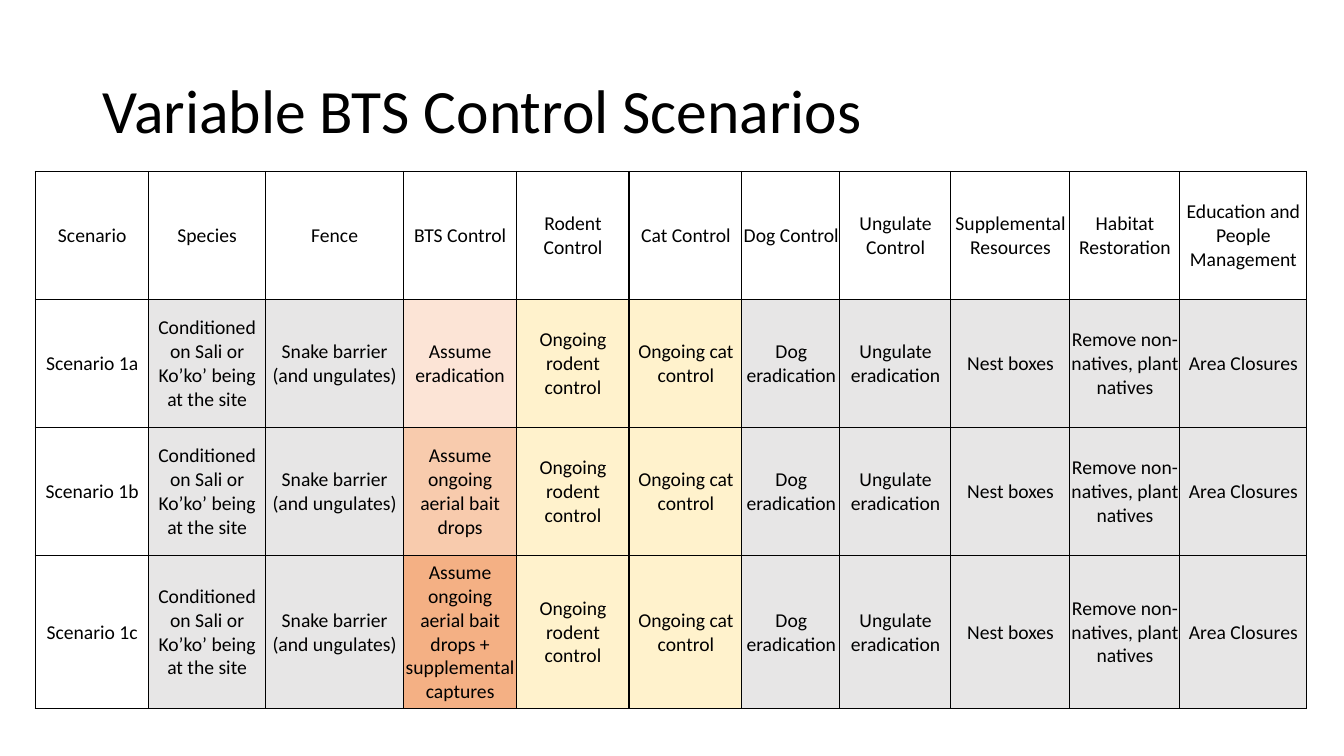
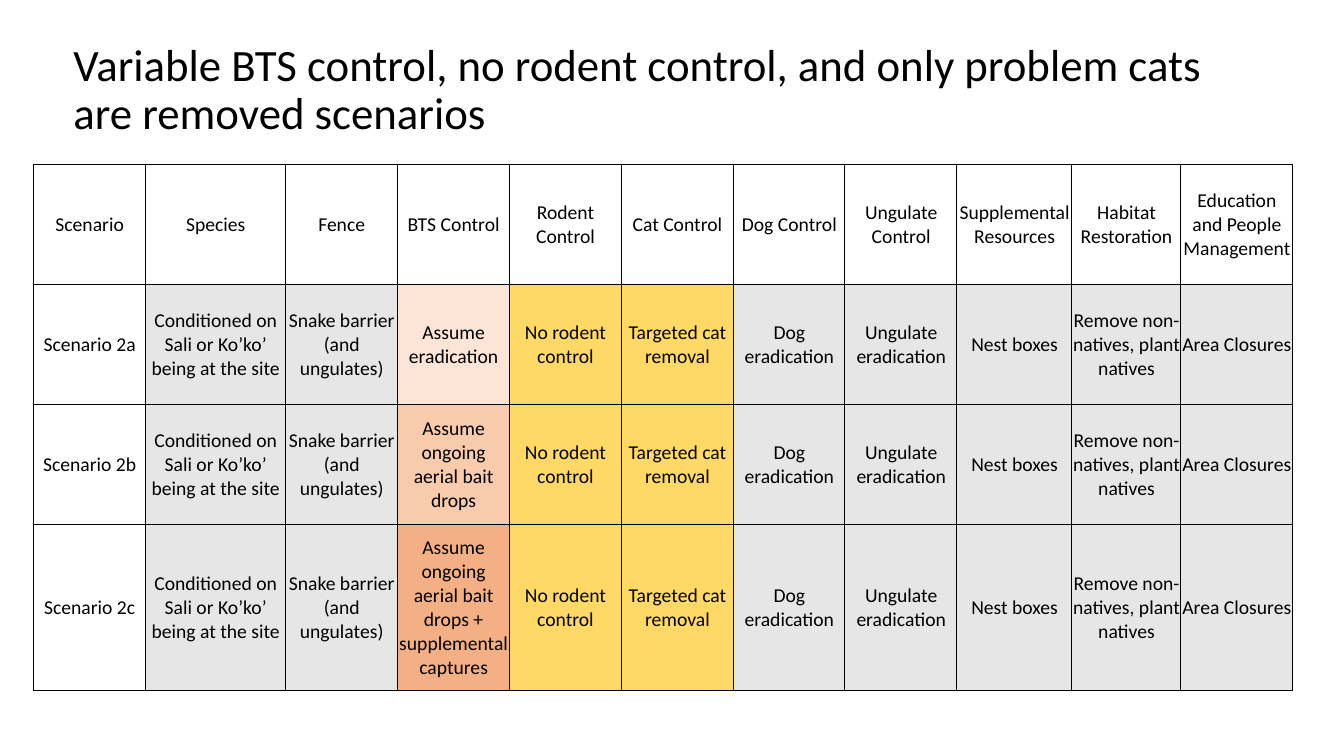
from lxml.etree import SubElement
from pptx import Presentation
from pptx.dml.color import RGBColor
from pptx.enum.text import MSO_ANCHOR, PP_ALIGN
from pptx.oxml.ns import qn
from pptx.util import Inches, Pt

# Shared style
FONT = "Calibri"
COLOURS = {
    "ink": "000000",
    "same": "E7E6E6",
    "snake_low": "FCE4D6",
    "snake_mid": "F8CBAD",
    "snake_high": "F4B084",
    "ongoing": "FFF2CC",
    "reduced": "FFD966",
}

# Wording shared by both tables
HEADERS = [
    "Scenario", "Species", "Fence", "BTS Control", "Rodent Control",
    "Cat Control", "Dog Control", "Ungulate Control",
    "Supplemental Resources", "Habitat Restoration",
    "Education and People Management",
]
SITE_CELLS = [
    "Conditioned on Sali or Ko’ko’ being at the site",
    "Snake barrier (and ungulates)",
]
SNAKE_CONTROL = [
    ("a", "Assume eradication", "snake_low"),
    ("b", "Assume ongoing aerial bait drops", "snake_mid"),
    ("c", "Assume ongoing aerial bait drops + supplemental captures",
     "snake_high"),
]
LATER_CELLS = [
    "Dog eradication", "Ungulate eradication", "Nest boxes",
    "Remove non-natives, plant natives", "Area Closures",
]

# What differs from slide to slide
SLIDES = [
    {
        "title": "Variable BTS Control Scenarios",
        "title_size": 44,
        "title_box": (0.92, 0.4, 11.5, 1.45),
        "number": 1,
        "predators": ["Ongoing rodent control", "Ongoing cat control"],
        "predator_fill": "ongoing",
        "table_at": (0.35, 1.7),
        "columns": [1.12, 1.16, 1.37, 1.12, 1.12, 1.12,
                    0.97, 1.1, 1.18, 1.09, 1.26],
        "rows": [1.27] * 3 + [1.52],
        "border": 1,
    },
    {
        "title": "Variable BTS control, no rodent control, and only "
                 "problem cats are removed scenarios",
        "title_size": 32,
        "title_box": (0.63, 0.18, 11.5, 1.45),
        "number": 2,
        "predators": ["No rodent control", "Targeted cat removal"],
        "predator_fill": "reduced",
        "table_at": (0.33, 1.63),
        "columns": [1.11, 1.39] + [1.11] * 6 + [1.14, 1.08, 1.11],
        "rows": [1.19] * 3 + [1.65],
        "border": 0.5,
    },
]


def write_text(frame, text, *, size, align=PP_ALIGN.LEFT, spacing=None):
    """Put one formatted paragraph in a text frame."""
    frame.word_wrap = True
    para = frame.paragraphs[0]
    para.alignment = align
    para.line_spacing = spacing
    span = para.add_run()
    span.text = text
    span.font.name = FONT
    span.font.size = Pt(size)
    span.font.color.rgb = RGBColor.from_string(COLOURS["ink"])


def add_title(page, text, box, size):
    title = page.shapes.add_textbox(*map(Inches, box))
    title.text_frame.vertical_anchor = MSO_ANCHOR.MIDDLE
    write_text(title.text_frame, text, size=size, spacing=0.9)


def add_borders(cell, points):
    properties = cell._tc.get_or_add_tcPr()
    for side in ("a:lnL", "a:lnR", "a:lnT", "a:lnB"):
        line = SubElement(properties, qn(side), w=str(Pt(points)))
        fill = SubElement(line, qn("a:solidFill"))
        SubElement(fill, qn("a:srgbClr"), val=COLOURS["ink"])


def fill_cell(cell, text, colour, border):
    cell.margin_left = cell.margin_top = Inches(0.01)
    cell.margin_right = cell.margin_bottom = 0
    cell.vertical_anchor = MSO_ANCHOR.MIDDLE
    write_text(cell.text_frame, text, size=14, align=PP_ALIGN.CENTER)
    add_borders(cell, border)
    if colour:
        cell.fill.solid()
        cell.fill.fore_color.rgb = RGBColor.from_string(COLOURS[colour])
    else:
        cell.fill.background()


def scenario_rows(number, predators, predator_fill):
    """Return the table as rows of (text, colour name) pairs."""
    rows = [[(header, None) for header in HEADERS]]
    for letter, snakes, snake_fill in SNAKE_CONTROL:
        rows.append(
            [(f"Scenario {number}{letter}", None)]
            + [(text, "same") for text in SITE_CELLS]
            + [(snakes, snake_fill)]
            + [(text, predator_fill) for text in predators]
            + [(text, "same") for text in LATER_CELLS]
        )
    return rows


def add_scenario_table(page, rows, position, widths, heights, border):
    box = (*position, sum(widths), sum(heights))
    table = page.shapes.add_table(
        len(heights), len(widths), *map(Inches, box)).table
    table.first_row = table.horz_banding = False
    for column, width in zip(table.columns, widths):
        column.width = Inches(width)
    for row, height, entries in zip(table.rows, heights, rows):
        row.height = Inches(height)
        for cell, (text, colour) in zip(row.cells, entries):
            fill_cell(cell, text, colour, border)


def add_scenario_slide(deck, content):
    page = deck.slides.add_slide(deck.slide_layouts[6])
    add_title(page, content["title"], content["title_box"],
              content["title_size"])
    rows = scenario_rows(content["number"], content["predators"],
                         content["predator_fill"])
    add_scenario_table(page, rows, content["table_at"], content["columns"],
                       content["rows"], content["border"])


def main():
    deck = Presentation()
    deck.slide_width = Inches(13.33)
    deck.slide_height = Inches(7.5)
    for content in SLIDES:
        add_scenario_slide(deck, content)
    deck.save("out.pptx")


if __name__ == "__main__":
    main()
